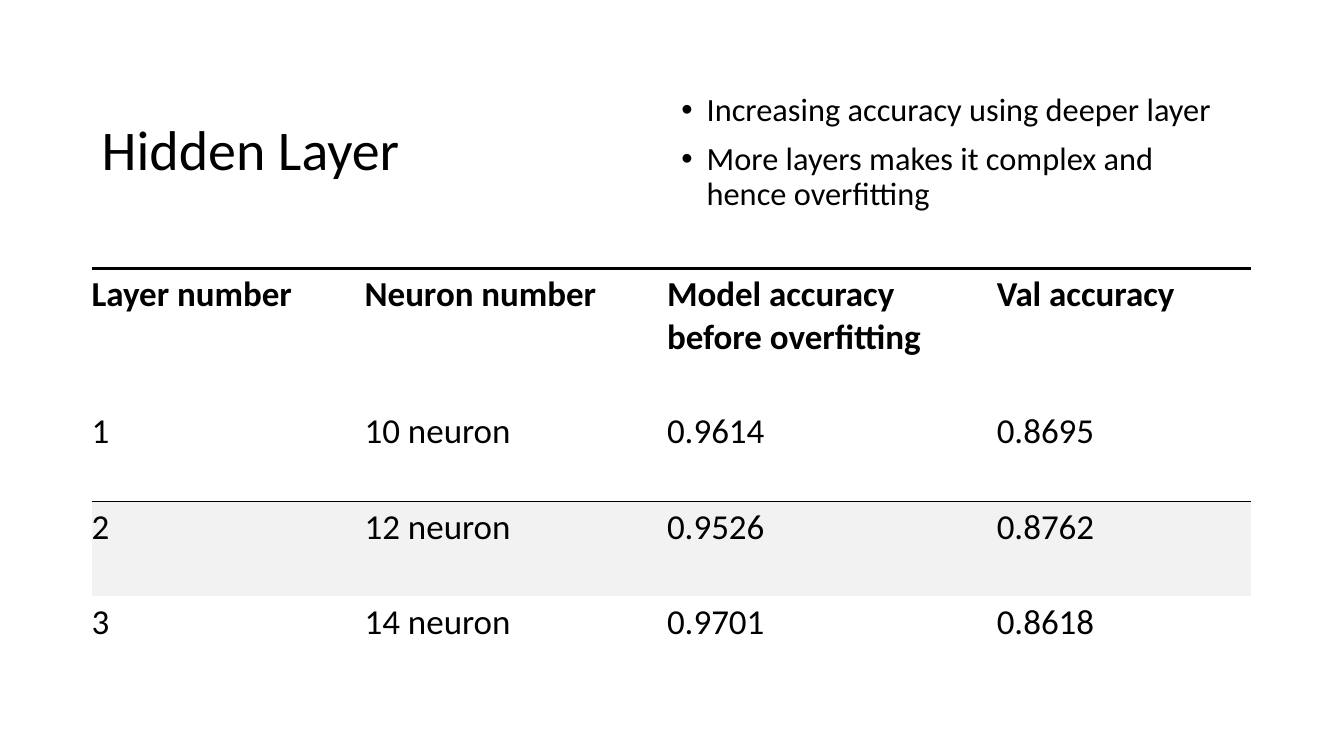
from dataclasses import dataclass

from lxml.etree import SubElement
from pptx import Presentation
from pptx.dml.color import RGBColor
from pptx.enum.text import MSO_ANCHOR, MSO_AUTO_SIZE, PP_ALIGN
from pptx.oxml.ns import qn
from pptx.util import Cm, Pt


@dataclass(frozen=True)
class Theme:
    font: str = "Calibri"
    ink: str = "000000"
    band: str = "F2F2F2"
    title: float = 40
    body: float = 23.1
    cell: float = 25
    thick: float = 2.25
    thin: float = 0.5


THEME = Theme()
LEFT = 2.31
POINTS = [
    "Increasing accuracy using deeper layer",
    "More layers makes it complex and hence overfitting",
]
ROWS = [
    ["Layer number", "Neuron number", "Model accuracy before overfitting", "Val accuracy"],
    ["1", "10 neuron", "0.9614", "0.8695"],
    ["2", "12 neuron", "0.9526", "0.8762"],
    ["3", "14 neuron", "0.9701", "0.8618"],
]
WIDTHS = [6.88, 7.62, 8.31, 6.4]
HEIGHTS = [3.45, 2.41, 2.41, 2.41]
NO_STYLE = "{2D5ABB26-0587-4C30-8999-92F81FD0307C}"


def write(para, text, size, bold=False, lead=1.0, before=0):
    para.alignment = PP_ALIGN.LEFT
    para.line_spacing = lead
    para.space_before = Pt(before)
    run = para.add_run()
    run.text = text
    font = run.font
    font.name, font.size, font.bold = THEME.font, Pt(size), bold
    font.color.rgb = RGBColor.from_string(THEME.ink)


def place(shape, left, top, width, height):
    """Move a placeholder and return its text frame, centred vertically."""
    shape.left, shape.top = Cm(left), Cm(top)
    shape.width, shape.height = Cm(width), Cm(height)
    frame = shape.text_frame
    frame.word_wrap = True
    frame.auto_size = MSO_AUTO_SIZE.NONE
    frame.vertical_anchor = MSO_ANCHOR.MIDDLE
    return frame


def bullet(para):
    props = para._p.get_or_add_pPr()
    props.set("marL", str(Cm(0.635)))
    props.set("indent", str(-Cm(0.635)))
    SubElement(props, qn("a:buFont"), typeface="Arial")
    SubElement(props, qn("a:buChar"), char="•")


def add_list(shape, items):
    frame = place(shape, 16.92, 2.21, 14.6, 3.28)
    for i, item in enumerate(items):
        para = frame.add_paragraph() if i else frame.paragraphs[0]
        bullet(para)
        write(para, item, THEME.body, lead=0.9, before=10 if i else 0)


def edge(cell, **widths):
    """Draw the sides given in points (T, B) and clear the others."""
    props = cell._tc.get_or_add_tcPr()
    for side in "LRTB":
        width = widths.get(side, 0)
        line = SubElement(props, qn(f"a:ln{side}"), w=str(Pt(width)))
        if width:
            fill = SubElement(line, qn("a:solidFill"))
            SubElement(fill, qn("a:srgbClr"), val=THEME.ink)
        else:
            SubElement(line, qn("a:noFill"))


def fill_cell(cell, text, row):
    cell.margin_left, cell.margin_top = Cm(0), Cm(0.13)
    cell.margin_right, cell.margin_bottom = Cm(0.33), Cm(0.97)
    write(cell.text_frame.paragraphs[0], text, THEME.cell, bold=row == 0)
    rules = {0: {"T": THEME.thick}, 1: {"B": THEME.thin}, 2: {"T": THEME.thin}}
    edge(cell, **rules.get(row, {}))
    if row == 2:
        cell.fill.solid()
        cell.fill.fore_color.rgb = RGBColor.from_string(THEME.band)
    else:
        cell.fill.background()


def add_grid(slide):
    frame = slide.shapes.add_table(
        len(ROWS), len(WIDTHS), Cm(LEFT), Cm(6.76), Cm(sum(WIDTHS)), Cm(sum(HEIGHTS)))
    table = frame.table
    table.horz_banding = False
    table._tbl.tblPr.find(qn("a:tableStyleId")).text = NO_STYLE
    for col, width in zip(table.columns, WIDTHS):
        col.width = Cm(width)
    for r, (row, height) in enumerate(zip(table.rows, HEIGHTS)):
        row.height = Cm(height)
        for cell, text in zip(row.cells, ROWS[r]):
            fill_cell(cell, text, r)


def main():
    deck = Presentation()
    deck.slide_width, deck.slide_height = Cm(33.87), Cm(19.05)
    slide = deck.slides.add_slide(deck.slide_layouts[1])
    title = place(slide.shapes.title, LEFT, 1.52, 14.35, 4.65)
    write(title.paragraphs[0], "Hidden Layer", THEME.title, lead=0.9)
    add_list(slide.placeholders[1], POINTS)
    add_grid(slide)
    deck.save("out.pptx")


if __name__ == "__main__":
    main()
